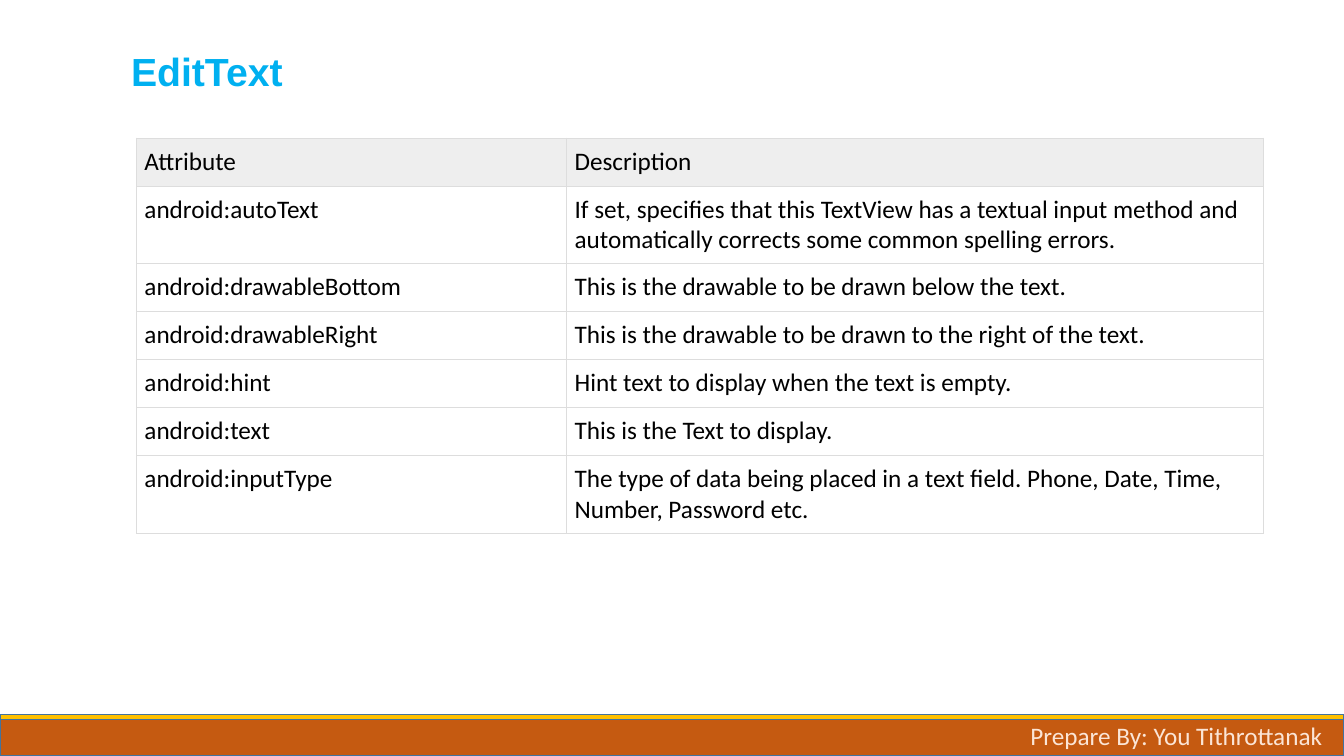
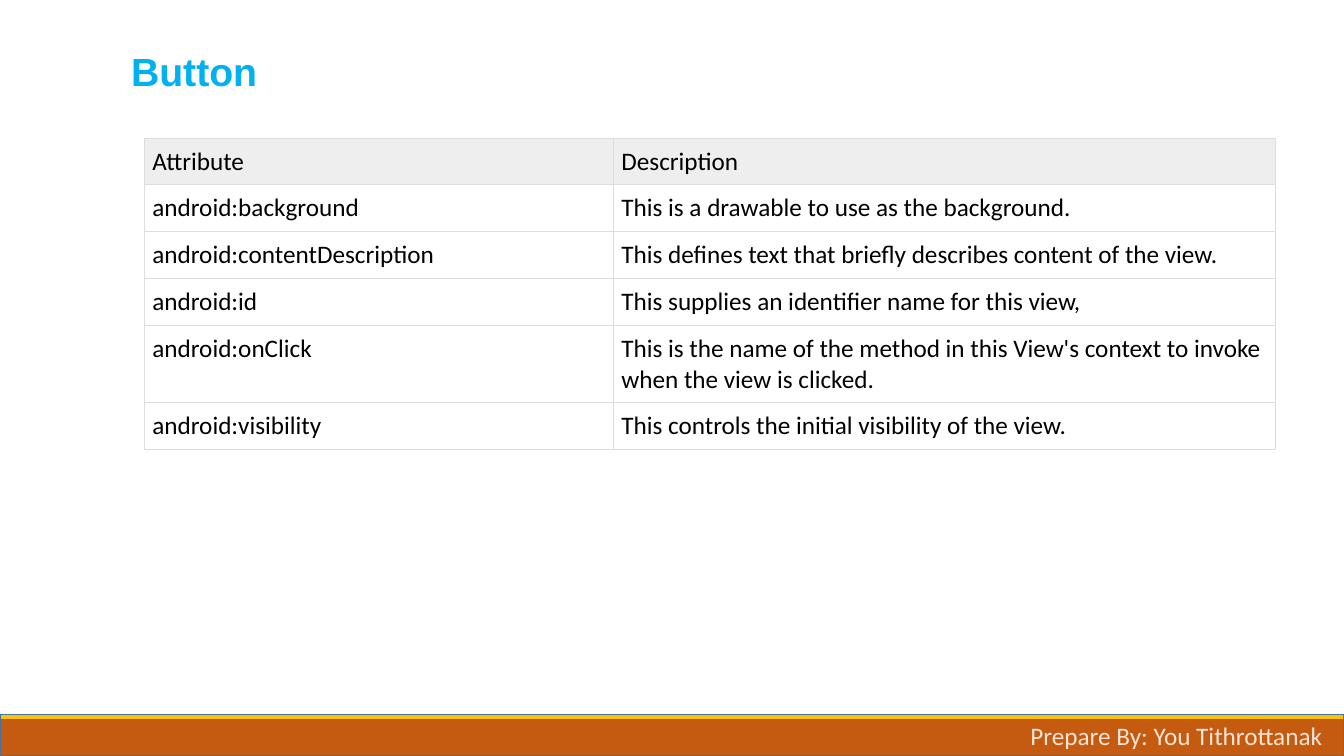
import pptx
import pptx.dml.color
import pptx.enum.shapes
import pptx.enum.text
import pptx.oxml
import pptx.oxml.ns
import pptx.util

Cm = pptx.util.Cm
Pt = pptx.util.Pt

SLIDE_WIDTH, SLIDE_HEIGHT = Cm(33.87), Cm(19.05)
BAND_TOP = Cm(18.01)
TABLE_TOP = Cm(3.48)
CELL_MARGIN = Cm(0.2)

BAND, STRIPE, BAND_LINE = "C55A11", "FFC000", "43739E"
TITLE, FOOTER, TEXT = "00B0F0", "FBE5D6", "000000"
HEADER_FILL, TABLE_LINE = "EEEEEE", "DDDDDD"

EDIT_TEXT_ROWS = [
    ("Attribute", "Description"),
    ("android:autoText",
     "If set, specifies that this TextView has a textual input method and "
     "automatically corrects some common spelling errors."),
    ("android:drawableBottom", "This is the drawable to be drawn below the text."),
    ("android:drawableRight", "This is the drawable to be drawn to the right of the text."),
    ("android:hint", "Hint text to display when the text is empty."),
    ("android:text", "This is the Text to display."),
    ("android:inputType",
     "The type of data being placed in a text field. Phone, Date, Time, "
     "Number, Password etc."),
]

BUTTON_ROWS = [
    ("Attribute", "Description"),
    ("android:background", "This is a drawable to use as the background."),
    ("android:contentDescription",
     "This defines text that briefly describes content of the view."),
    ("android:id", "This supplies an identifier name for this view,"),
    ("android:onClick",
     "This is the name of the method in this View's context to invoke "
     "when the view is clicked."),
    ("android:visibility", "This controls the initial visibility of the view."),
]


def color(value):
    """Turn a hex string into a colour."""
    return pptx.dml.color.RGBColor.from_string(value)


def format_text(text_frame, size, text_color, name="Calibri", bold=False):
    """Format every run of a text frame."""
    for paragraph in text_frame.paragraphs:
        for run in paragraph.runs:
            run.font.size = Pt(size)
            run.font.name = name
            run.font.bold = bold
            run.font.color.rgb = color(text_color)


def prepare_layout(layout):
    """Place the layout's title and drop its other placeholders."""
    for placeholder in list(layout.placeholders):
        if placeholder.placeholder_format.idx:
            placeholder.element.getparent().remove(placeholder.element)
    title = layout.placeholders[0]
    title.left, title.top = Cm(3.05), Cm(0.79)
    title.width, title.height = Cm(27.94), Cm(2.13)


def add_band(slide, height, fill):
    """Draw a full-width band starting at the band top."""
    band = slide.shapes.add_shape(
        pptx.enum.shapes.MSO_SHAPE.RECTANGLE, 0, BAND_TOP, SLIDE_WIDTH, height)
    band.shadow.inherit = False
    band.fill.solid()
    band.fill.fore_color.rgb = color(fill)
    band.line.color.rgb = color(BAND_LINE)
    band.line.width = Pt(1)
    return band


def share_bands(slide, layout):
    """Draw the bottom bands and hand them to the layout."""
    bands = [add_band(slide, SLIDE_HEIGHT - BAND_TOP, BAND),
             add_band(slide, Cm(0.12), STRIPE)]
    for band in bands:
        layout.shapes.element.append(band.element)


def set_title(slide, text):
    """Fill and format the title placeholder."""
    text_frame = slide.shapes.title.text_frame
    text_frame.text = text
    text_frame.vertical_anchor = pptx.enum.text.MSO_ANCHOR.MIDDLE
    paragraph = text_frame.paragraphs[0]
    paragraph.alignment = pptx.enum.text.PP_ALIGN.LEFT
    paragraph.line_spacing = 0.9
    format_text(text_frame, 28, TITLE, "Arial", True)


def add_footer(slide, text):
    """Write the footer over the bottom band."""
    text_frame = slide.shapes.add_textbox(
        Cm(25.72), Cm(18.03), Cm(8.15), Cm(1.02)).text_frame
    text_frame.word_wrap = True
    text_frame.text = text
    format_text(text_frame, 18, FOOTER)


def set_borders(cell):
    """Give a cell thin grey borders on all sides."""
    properties = cell._tc.get_or_add_tcPr()
    for position, side in enumerate(("lnL", "lnR", "lnT", "lnB")):
        border = pptx.oxml.parse_xml(
            f'<a:{side} {pptx.oxml.ns.nsdecls("a")} w="{Pt(0.75)}">'
            f'<a:solidFill><a:srgbClr val="{TABLE_LINE}"/></a:solidFill></a:{side}>')
        properties.insert(position, border)


def fill_cell(cell, text, is_header):
    """Write and format one table cell."""
    cell.text = text
    cell.margin_left = cell.margin_right = CELL_MARGIN
    cell.margin_top = cell.margin_bottom = CELL_MARGIN
    if is_header:
        cell.fill.solid()
        cell.fill.fore_color.rgb = color(HEADER_FILL)
    else:
        cell.fill.background()
    format_text(cell.text_frame, 18, TEXT)
    set_borders(cell)


def add_attribute_table(slide, rows, left, column_widths, row_height):
    """Add a table whose first row is the header."""
    table = slide.shapes.add_table(
        len(rows), len(column_widths), left, TABLE_TOP,
        sum(column_widths), row_height * len(rows)).table
    table.first_row = table.horz_banding = False
    for column, width in zip(table.columns, column_widths):
        column.width = width
    for row_index, texts in enumerate(rows):
        for column_index, text in enumerate(texts):
            fill_cell(table.cell(row_index, column_index), text, row_index == 0)


def main():
    """Build and save the presentation."""
    presentation = pptx.Presentation()
    presentation.slide_width, presentation.slide_height = SLIDE_WIDTH, SLIDE_HEIGHT
    layout = presentation.slide_layouts.get_by_name("Title Only")
    prepare_layout(layout)
    pages = [
        ("EditText", EDIT_TEXT_ROWS, Cm(3.44), (Cm(10.84), Cm(17.56)), Cm(1.21)),
        ("Button", BUTTON_ROWS, Cm(3.64), (Cm(11.82), Cm(16.69)), Cm(1.18)),
    ]
    for index, (title, rows, left, column_widths, row_height) in enumerate(pages):
        slide = presentation.slides.add_slide(layout)
        if index == 0:
            share_bands(slide, layout)
        set_title(slide, title)
        add_attribute_table(slide, rows, left, column_widths, row_height)
        add_footer(slide, "Prepare By: You Tithrottanak")
    presentation.save("out.pptx")


if __name__ == "__main__":
    main()
